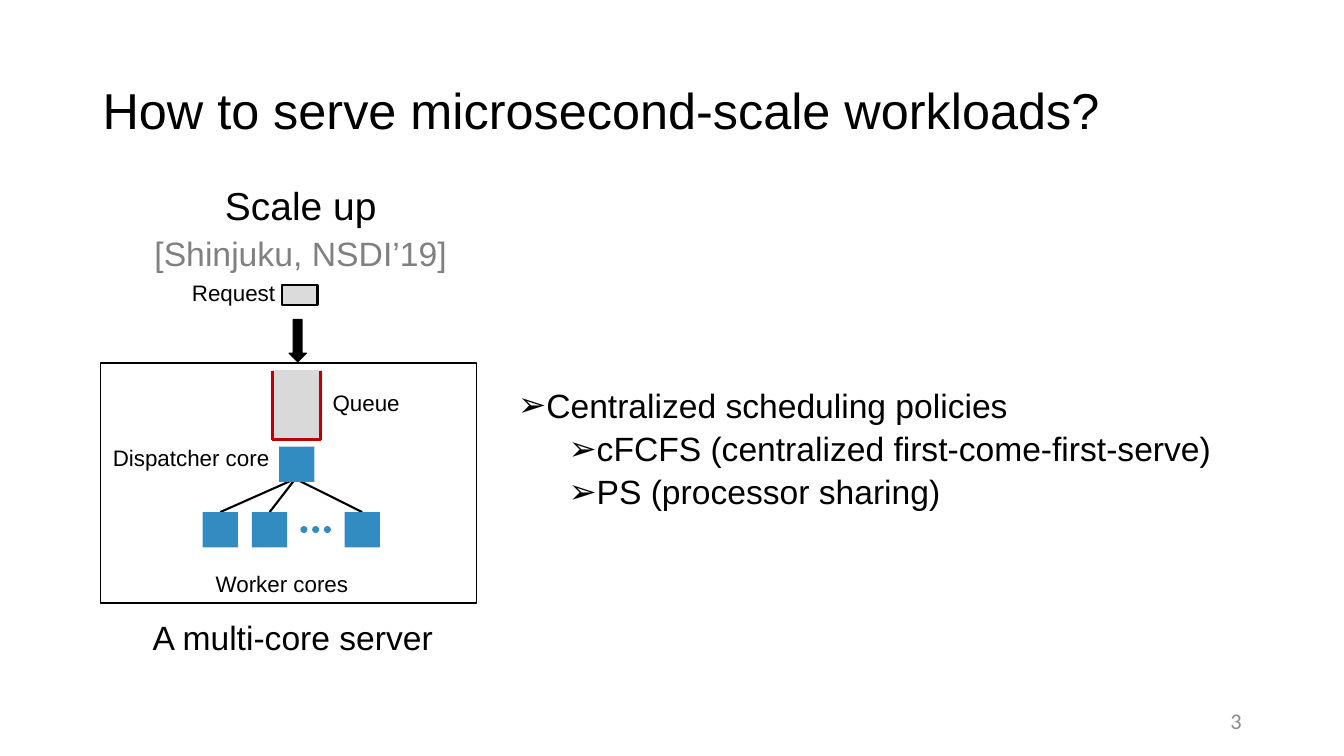
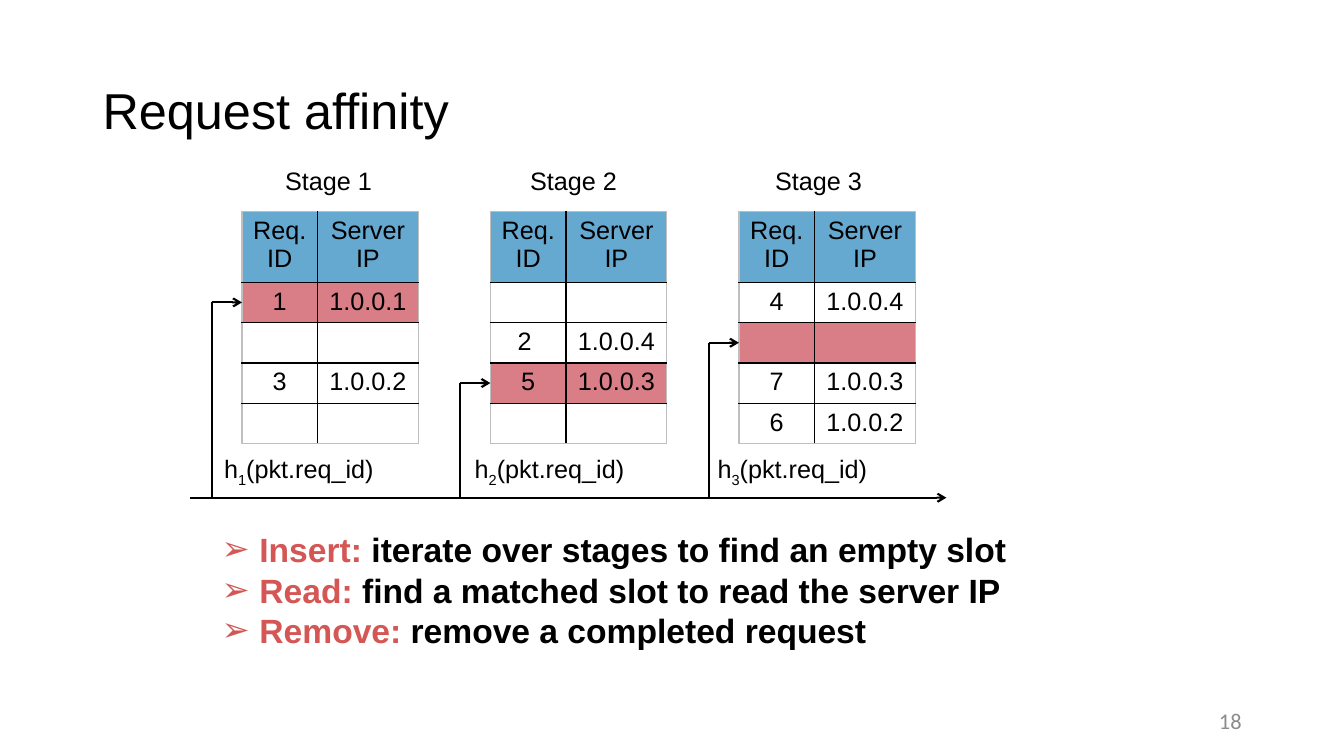
from lxml.etree import SubElement
from pptx import Presentation
from pptx.dml.color import RGBColor
from pptx.enum.shapes import MSO_CONNECTOR, MSO_SHAPE
from pptx.enum.text import MSO_ANCHOR as Anchor, PP_ALIGN as Align
from pptx.oxml.ns import qn
from pptx.util import Pt

BLACK, GRAY, NUMBER_GRAY = "000000", "808080", "8C8C8C"
BLUE, RED, ACCENT, PINK = "328CC1", "C00000", "D45655", "CD5360"
LIGHT, BORDER = "D9D9D9", "BFBFBF"

HEADING = [("Scale up", 27.8, BLACK), ("[Shinjuku, NSDI’19]", 24.1, GRAY)]
SERVER_LABELS = [
    ("Request", 130, 196, 90, 16),
    ("Queue", 230.5, 274.5, 80, 16),
    ("Dispatcher core", 73.5, 314, 140, 16),
    ("Worker cores", 147, 404, 130, 16),
    ("A multi-core server", 102, 437, 240, 24),
]
POLICIES = [
    ("Centralized scheduling policies", 54),
    ("cFCFS (centralized first-come-first-serve)", 90),
    ("PS (processor sharing)", 90),
]
CORE = 25.2
WORKER_TOP = 365.8
WORKER_LEFTS = [144.7, 180, 246.2]
DISPATCHER = (199.4, 319)
DOT_LEFTS = [214.6, 223, 231.4]

TABLE_HEADER = ("Req.\nID", "Server\nIP")
EMPTY = ("", "")
STAGES = [
    {"rows": [("1", "1.0.0.1"), EMPTY, ("3", "1.0.0.2"), EMPTY],
     "slot": 0, "header": 48, "hash_left": 153},
    {"rows": [EMPTY, ("2 ", "1.0.0.4"), ("5", "1.0.0.3"), EMPTY],
     "slot": 2, "header": 50.4, "hash_left": 332},
    {"rows": [("4", "1.0.0.4"), EMPTY, ("7", "1.0.0.3"), ("6", "1.0.0.2")],
     "slot": 1, "header": 50.4, "hash_left": 505.5},
]
TABLE_LEFT, TABLE_TOP, TABLE_STEP = 172.8, 151.2, 177.5
COLUMN_WIDTHS = (54, 72)
ROW_HEIGHT, HEADER_HEIGHT = 28.8, 50.4
PIPELINE_Y = 355.5
OPERATIONS = [
    ("Insert: ", "iterate over stages to find an empty slot"),
    ("Read: ", "find a matched slot to read the server IP"),
    ("Remove: ", "remove a completed request"),
]


def rgb(color):
    return RGBColor.from_string(color)


def style(font, size, color=BLACK, name="Arial", bold=False):
    font.size, font.name, font.bold = Pt(size), name, bold
    font.color.rgb = rgb(color)


def add_text(slide, box, paragraphs, align=Align.LEFT, anchor=Anchor.TOP):
    frame = slide.shapes.add_textbox(*map(Pt, box)).text_frame
    frame.word_wrap = True
    frame.vertical_anchor = anchor
    for index, runs in enumerate(paragraphs):
        paragraph = frame.add_paragraph() if index else frame.paragraphs[0]
        paragraph.alignment = align
        for text, *look in runs:
            run = paragraph.add_run()
            run.text = text
            style(run.font, *look)
    return frame.paragraphs


def add_bullet(paragraph, margin, hanging, color):
    properties = paragraph._p.get_or_add_pPr()
    properties.set("marL", str(Pt(margin)))
    properties.set("indent", str(-Pt(hanging)))
    SubElement(SubElement(properties, qn("a:buClr")), qn("a:srgbClr"), val=color)
    SubElement(properties, qn("a:buFont"), typeface="Arial")
    SubElement(properties, qn("a:buChar"), char="➢")


def add_shape(slide, kind, box, fill=None, line_width=0):
    shape = slide.shapes.add_shape(kind, *map(Pt, box))
    shape.shadow.inherit = False
    if fill:
        shape.fill.solid()
        shape.fill.fore_color.rgb = rgb(fill)
    else:
        shape.fill.background()
    if line_width:
        shape.line.color.rgb = rgb(BLACK)
        shape.line.width = Pt(line_width)
    else:
        shape.line.fill.background()


def add_line(slide, start, end, color=BLACK, width=1.5, arrow=False):
    line = slide.shapes.add_connector(MSO_CONNECTOR.STRAIGHT, *map(Pt, start + end))
    line.line.color.rgb = rgb(color)
    line.line.width = Pt(width)
    properties = line._element.spPr
    if arrow:
        SubElement(properties.find(qn("a:ln")), qn("a:tailEnd"), type="arrow")
    SubElement(properties, qn("a:effectLst"))


def add_slide(presentation, title, number):
    slide = presentation.slides.add_slide(presentation.slide_layouts[6])
    heading = add_text(slide, (66.2, 28.8, 828, 104.4), [[(title, 36)]], anchor=Anchor.MIDDLE)
    heading[0].line_spacing = 0.9
    add_text(slide, (678, 500.4, 216, 28.8), [[(number, 16, NUMBER_GRAY, "Calibri")]],
             Align.RIGHT, Anchor.MIDDLE)
    return slide


def fill_cell(cell, color):
    if color is None:
        cell.fill.background()
        return
    cell.fill.solid()
    cell.fill.fore_color.rgb = rgb(color)
    SubElement(cell._tc.tcPr.find(".//" + qn("a:srgbClr")), qn("a:alpha"), val="75000")


def set_borders(cell, outer_sides):
    properties = cell._tc.get_or_add_tcPr()
    for index, side in enumerate("LRTB"):
        border = SubElement(properties, qn("a:ln" + side), w=str(Pt(1)))
        color = BORDER if side in outer_sides else BLACK
        SubElement(SubElement(border, qn("a:solidFill")), qn("a:srgbClr"), val=color)
        properties.insert(index, border)


def add_stage_table(slide, left, stage):
    rows = [TABLE_HEADER] + stage["rows"]
    height = stage["header"] + ROW_HEIGHT * len(stage["rows"])
    box = (left, TABLE_TOP, sum(COLUMN_WIDTHS), height)
    table = slide.shapes.add_table(len(rows), len(COLUMN_WIDTHS), *map(Pt, box)).table
    table.first_row = table.horz_banding = False
    for column, width in zip(table.columns, COLUMN_WIDTHS):
        column.width = Pt(width)
    for index, values in enumerate(rows):
        table.rows[index].height = Pt(ROW_HEIGHT if index else stage["header"])
        color = BLUE if index == 0 else PINK if index == stage["slot"] + 1 else None
        for position, value in enumerate(values):
            cell = table.cell(index, position)
            cell.text = value
            for paragraph in cell.text_frame.paragraphs:
                paragraph.alignment = Align.CENTER
                style(paragraph.font, 18)
                for run in paragraph.runs:
                    style(run.font, 18)
            fill_cell(cell, color)
            vertical = {0: "T", len(rows) - 1: "B"}.get(index, "")
            set_borders(cell, "LR"[position] + vertical)


def build_server_slide(presentation):
    slide = add_slide(presentation, "How to serve microsecond-scale workloads?", "3")
    heading = add_text(slide, (68.4, 135.5, 293, 63), [[run] for run in HEADING], Align.CENTER)
    for paragraph in heading:
        paragraph.line_spacing = 0.7
    heading[1].space_before = Pt(12)

    add_shape(slide, MSO_SHAPE.RECTANGLE, (72, 259.2, 268.6, 171.4), line_width=1)
    add_shape(slide, MSO_SHAPE.RECTANGLE, (201.6, 203.8, 25.2, 14.4), "DBDBDB", 1.5)
    add_shape(slide, MSO_SHAPE.DOWN_ARROW, (206.6, 228.2, 12.2, 30.2), BLACK, 1)

    left, right, top, bottom = 194.4, 229, 265, 314
    add_shape(slide, MSO_SHAPE.RECTANGLE, (left, top - 0.6, 36, 49), LIGHT)
    queue_corners = [(left, top), (left, bottom), (right, bottom), (right, top)]
    for start, end in zip(queue_corners, queue_corners[1:]):
        add_line(slide, start, end, RED, 2.25)

    for worker_left in WORKER_LEFTS:
        add_line(slide, (worker_left + CORE / 2, WORKER_TOP), (211, 342))
        add_shape(slide, MSO_SHAPE.RECTANGLE, (worker_left, WORKER_TOP, CORE, CORE), BLUE)
    add_shape(slide, MSO_SHAPE.RECTANGLE, DISPATCHER + (CORE, CORE), BLUE)
    for dot_left in DOT_LEFTS:
        add_shape(slide, MSO_SHAPE.OVAL, (dot_left, 375.8, 5, 5), BLUE)
    for text, left, top, width, size in SERVER_LABELS:
        add_text(slide, (left, top, width, size * 1.6), [[(text, size)]])

    policies = add_text(slide, (327, 274.5, 572, 96), [[(text, 24)] for text, _ in POLICIES])
    for index, (paragraph, (_, margin)) in enumerate(zip(policies, POLICIES)):
        paragraph.line_spacing = 0.9
        if index:
            paragraph.space_before = Pt(5)
        add_bullet(paragraph, margin, 18, BLACK)


def build_affinity_slide(presentation):
    slide = add_slide(presentation, "Request affinity", "18")
    add_line(slide, (136, PIPELINE_Y), (676, PIPELINE_Y), arrow=True)
    for index, stage in enumerate(STAGES):
        number = str(index + 1)
        table_left = TABLE_LEFT + TABLE_STEP * index
        add_text(slide, (196.5 + 175 * index, 114.5, 107, 29), [[("Stage " + number, 18)]])
        add_stage_table(slide, table_left, stage)
        branch_x = table_left - 21.6
        slot_y = TABLE_TOP + HEADER_HEIGHT + ROW_HEIGHT * (stage["slot"] + 0.5)
        add_line(slide, (branch_x, PIPELINE_Y), (branch_x, slot_y))
        add_line(slide, (branch_x, slot_y), (table_left, slot_y), arrow=True)
        runs = [("h", 18), (number, 18), ("(pkt.req_id)", 18)]
        label = add_text(slide, (stage["hash_left"], 320.4, 130, 29), [runs])
        label[0].runs[1]._r.get_or_add_rPr().set("baseline", "-25000")

    operations = [[(name, 24, ACCENT, "Arial", True), (detail, 24, BLACK, "Arial", True)]
                  for name, detail in OPERATIONS]
    for paragraph in add_text(slide, (151.2, 374.4, 644, 94), operations):
        add_bullet(paragraph, 27, 27, ACCENT)


def main():
    presentation = Presentation()
    presentation.slide_width, presentation.slide_height = Pt(960), Pt(540)
    build_server_slide(presentation)
    build_affinity_slide(presentation)
    presentation.save("out.pptx")


if __name__ == "__main__":
    main()
